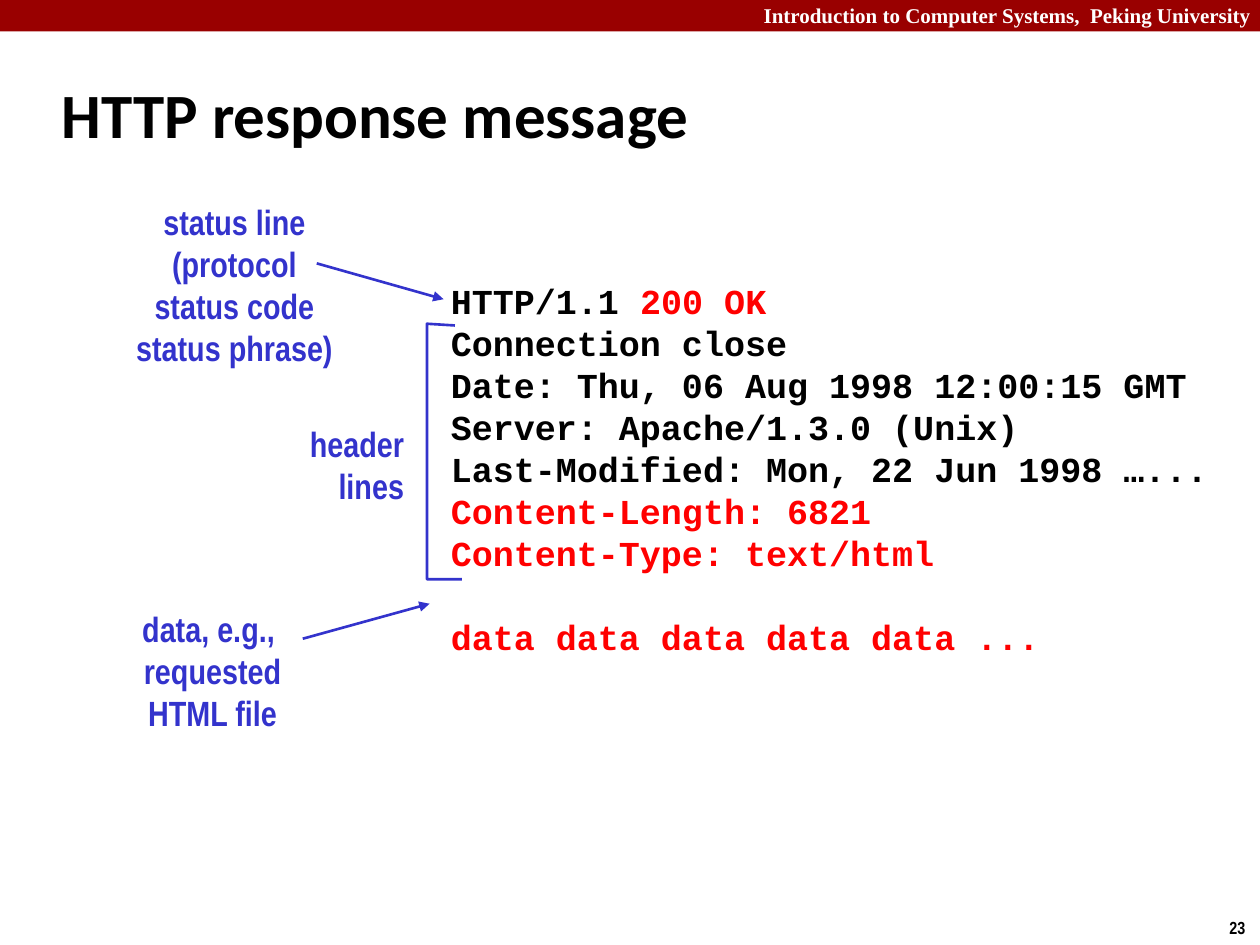
from lxml import etree
from pptx import Presentation
from pptx.dml.color import RGBColor
from pptx.enum.shapes import MSO_CONNECTOR, MSO_SHAPE
from pptx.enum.text import MSO_ANCHOR, PP_ALIGN
from pptx.oxml.ns import qn
from pptx.util import Pt

LEFT, CENTER, RIGHT = PP_ALIGN.LEFT, PP_ALIGN.CENTER, PP_ALIGN.RIGHT
RECTANGLE, STRAIGHT = MSO_SHAPE.RECTANGLE, MSO_CONNECTOR.STRAIGHT
MIDDLE = MSO_ANCHOR.MIDDLE

BLACK, WHITE, RED, BLUE, CRIMSON = "000000", "FFFFFF", "FF0000", "3333CC", "990000"
LINE_PITCH = 24

COURSE = {"name": "Times New Roman", "size": Pt(12), "bold": True}
NUMBER = {"name": "Arial Narrow", "size": Pt(10), "bold": True}
TITLE = {"name": "Calibri", "size": Pt(36), "bold": True}
CODE = {"name": "Courier New", "size": Pt(20), "bold": True}
LABEL = {"name": "Arial Narrow", "size": Pt(20), "bold": True}

RESPONSE = [
    [("HTTP/1.1 ", BLACK), ("200 OK", RED)],
    [("Connection close", BLACK)],
    [("Date: Thu, 06 Aug 1998 12:00:15 GMT", BLACK)],
    [("Server: Apache/1.3.0 (Unix)", BLACK)],
    [("Last-Modified: Mon, 22 Jun 1998 …...", BLACK)],
    [("Content-Length: 6821", RED)],
    [("Content-Type: text/html", RED)],
    [("data data data data data ...", RED)],
]


def rgb(value):
    """Return the colour for a hex string."""
    return RGBColor.from_string(value)


def style(font, look, color):
    """Apply a dict of font values and a colour."""
    for key, value in look.items():
        setattr(font, key, value)
    font.color.rgb = rgb(color)


def add_lines(slide, box, lines, look, align=LEFT, pitch=None):
    """Write lines of (text, colour) runs in a text box and return its frame."""
    frame = slide.shapes.add_textbox(*map(Pt, box)).text_frame
    frame.word_wrap = True
    for index, runs in enumerate(lines):
        paragraph = frame.add_paragraph() if index else frame.paragraphs[0]
        paragraph.alignment = align
        if pitch:
            paragraph.line_spacing = Pt(pitch)
        for text, color in runs:
            run = paragraph.add_run()
            run.text = text
            style(run.font, look, color)
    return frame


def add_label(slide, box, lines, align):
    """Write a blue label."""
    add_lines(slide, box, [[(line, BLUE)] for line in lines], LABEL, align, LINE_PITCH)


def add_course_banner(slide, box):
    """Draw the banner with the course name."""
    left, top, width, height = box
    banner = slide.shapes.add_shape(RECTANGLE, *map(Pt, box))
    banner.shadow.inherit = False
    banner.fill.solid()
    banner.fill.fore_color.rgb = rgb(CRIMSON)
    banner.line.fill.background()
    course = "Introduction to Computer Systems,  Peking University "
    add_lines(slide, (left + width - 348, top - 2, 353, height + 4),
              [[(course, WHITE)]], COURSE, RIGHT)


def set_title(slide, box, text):
    """Place and format the title placeholder."""
    title = slide.shapes.title
    title.left, title.top, title.width, title.height = map(Pt, box)
    frame = title.text_frame
    frame.text = text
    frame.vertical_anchor = MIDDLE
    frame.paragraphs[0].alignment = LEFT
    style(frame.paragraphs[0].runs[0].font, TITLE, BLACK)


def add_response(slide, box):
    """Write the response message, with its body set off by one line."""
    frame = add_lines(slide, box, RESPONSE, CODE, pitch=LINE_PITCH)
    frame.paragraphs[-1].space_before = Pt(LINE_PITCH)


def add_arrow_label(slide, box, lines, start, end):
    """Write a label with an arrow, whose ends are offsets from the box."""
    left, top = box[:2]
    add_label(slide, box, lines, CENTER)
    arrow = slide.shapes.add_connector(
        STRAIGHT, Pt(left + start[0]), Pt(top + start[1]),
        Pt(left + end[0]), Pt(top + end[1]))
    arrow.line.color.rgb = rgb(BLUE)
    arrow.line.width = Pt(1.5)
    etree.SubElement(arrow.line._get_or_add_ln(), qn("a:tailEnd"), type="triangle")
    etree.SubElement(arrow._element.spPr, qn("a:effectLst"))


def add_header_bracket(slide, box):
    """Write the header label beside the bracket that spans the header lines."""
    left, top, width, height = box
    add_label(slide, (left, top + 53, 80, 55), ["header", " lines"], RIGHT)
    spine, right, bottom = left + 86, left + width, top + height
    points = [(right - 4, top + 1), (spine, top), (spine, bottom), (right, bottom)]
    corners = [(Pt(x), Pt(y)) for x, y in points]
    builder = slide.shapes.build_freeform(*corners[0])
    builder.add_line_segments(corners[1:], close=False)
    bracket = builder.convert_to_shape()
    bracket.shadow.inherit = False
    bracket.fill.background()
    bracket.line.color.rgb = rgb(BLUE)
    bracket.line.width = Pt(1.5)


def main():
    """Build and save the slide."""
    deck = Presentation()
    deck.slide_width, deck.slide_height = Pt(720), Pt(540)
    slide = deck.slides.add_slide(deck.slide_layouts[5])
    add_course_banner(slide, (0, 0, 720, 18))
    set_title(slide, (28, 34.5, 598, 60), "HTTP response message")
    add_response(slide, (250.5, 156, 459, 223))
    add_arrow_label(slide, (59, 111, 150, 103),
                    ["status line", "(protocol", "status code", "status phrase)"],
                    (122, 39.5), (194.5, 60))
    add_header_bracket(slide, (158, 185, 106, 146))
    add_arrow_label(slide, (66, 343.5, 111, 79),
                    ["data, e.g., ", "requested", "HTML file"],
                    (107, 21.5), (179.5, 1.5))
    add_lines(slide, (695.5, 520.5, 24.5, 19.5), [[("23", BLACK)]], NUMBER)
    deck.save("out.pptx")


if __name__ == "__main__":
    main()
